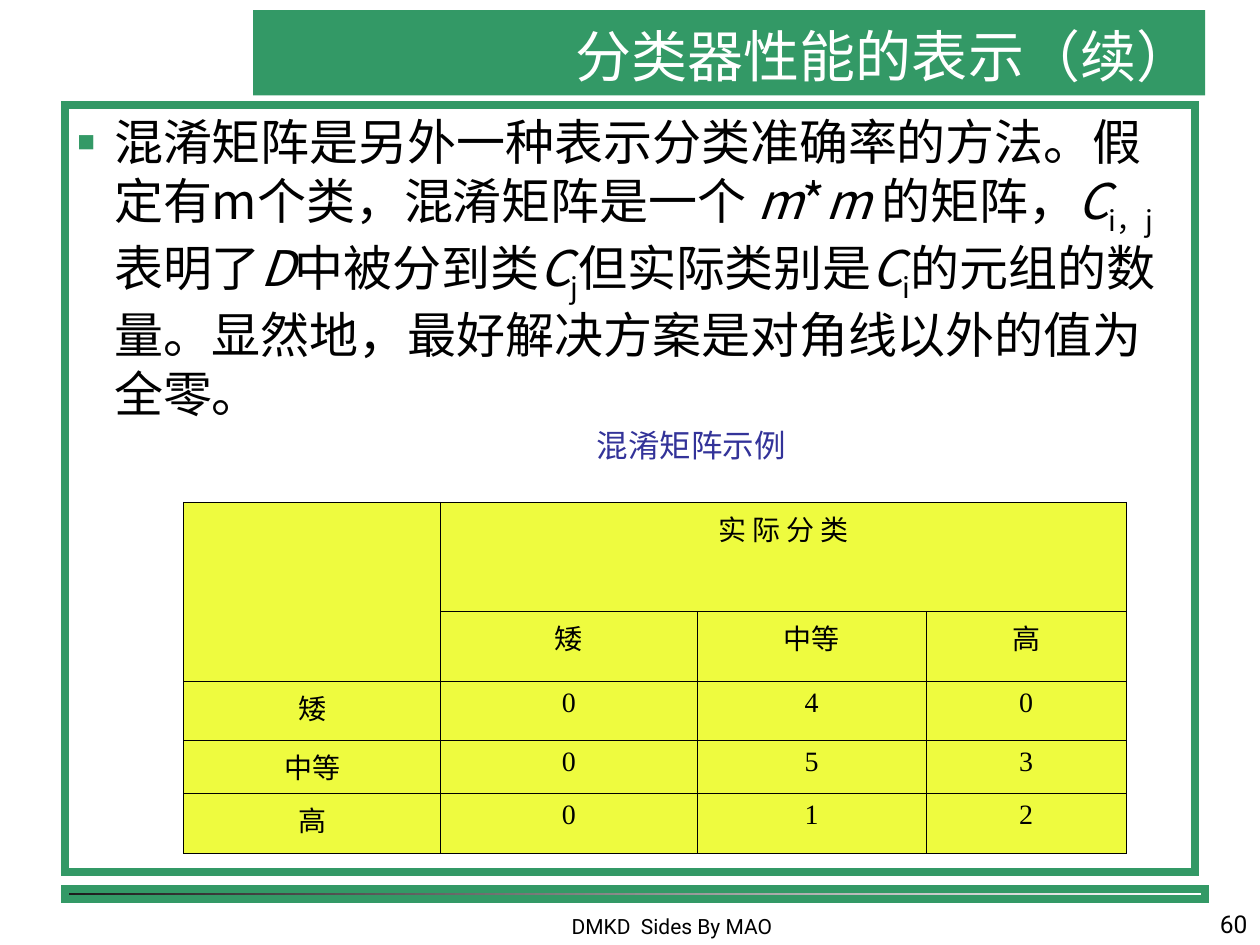
import pptx
import pptx.dml.color
import pptx.enum.dml
import pptx.enum.shapes
import pptx.enum.text
import pptx.oxml
import pptx.oxml.ns
import pptx.util

Pt = pptx.util.Pt
ALIGN = pptx.enum.text.PP_ALIGN
ANCHOR = pptx.enum.text.MSO_ANCHOR
COLORS = {"green": "339966", "black": "000000", "white": "FFFFFF", "dark": "1C1C1C",
          "navy": "333399", "yellow": "EEFB3F"}
NAMESPACE = 'xmlns:a="http://schemas.openxmlformats.org/drawingml/2006/main"'
SANS, BODY, SERIF, LATIN = "Noto Sans CJK SC", "Noto Sans CJK JP", "Times New Roman", "Roboto"

DEFINITION = [
    ("混淆矩阵是另外一种表示分类准确率的方法。假定有m个类，混淆矩阵是一个 ", ""),
    ("m", "italic"), ("*", ""), ("m ", "italic"), ("的矩阵，", ""),
    ("C", "italic"), ("i，j", "sub"), ("表明了", ""), ("D", "italic"),
    ("中被分到类", ""), ("C", "italic"), ("j", "sub"), ("但实际类别是", ""),
    ("C", "italic"), ("i", "sub"),
    ("的元组的数量。显然地，最好解决方案是对角线以外的值为全零。", ""),
]
MATRIX = [
    ["", "实 际 分 类", "", ""],
    ["", "矮", "中等", "高"],
    ["矮", "0", "4", "0"],
    ["中等", "0", "5", "3"],
    ["高", "0", "1", "2"],
]


def rgb(name):
    """Return the named colour."""
    return pptx.dml.color.RGBColor.from_string(COLORS[name])


def append_xml(parent, markup):
    """Append one drawing element, given as markup without namespace, to the parent."""
    tag, rest = markup[:markup.index(" ")], markup[markup.index(" "):]
    parent.append(pptx.oxml.parse_xml(f"<{tag} {NAMESPACE}{rest}"))


def set_format(target, values):
    """Set each attribute of the target from a dict."""
    for name, value in values.items():
        setattr(target, name, value)


def place(shape, box):
    """Move a shape to a left, top, width, height box in points."""
    set_format(shape, dict(zip(("left", "top", "width", "height"), map(Pt, box))))


def add_run(paragraph, text, size, font, color, style="", asian_font=None):
    """Add a run with its fonts, and italic or subscript style."""
    run = paragraph.add_run()
    run.text = text
    set_format(run.font, {"size": Pt(size), "name": font, "italic": style == "italic"})
    run.font.color.rgb = rgb(color)
    properties = run._r.get_or_add_rPr()
    append_xml(properties, f'a:ea typeface="{asian_font or font}"/>')
    if style == "sub":
        properties.set("baseline", "-25000")


def outline(shape):
    """Give a shape the thick green outline with square corners."""
    shape.line.color.rgb = rgb("green")
    shape.line.width = Pt(4.5)
    append_xml(shape.line._get_or_add_ln(), 'a:miter lim="800000"/>')


def fill_title(title, box):
    """Place the title bar and its right-aligned text."""
    place(title, box)
    title.fill.solid()
    title.fill.fore_color.rgb = rgb("green")
    set_format(title.text_frame, {"vertical_anchor": ANCHOR.BOTTOM, "word_wrap": True,
                                  "auto_size": pptx.enum.text.MSO_AUTO_SIZE.NONE})
    paragraph = title.text_frame.paragraphs[0]
    paragraph.alignment = ALIGN.RIGHT
    add_run(paragraph, "分类器性能的表示（续）", 32, SANS, "white")


def fill_body(body, box):
    """Place the framed body with the definition and the table caption."""
    place(body, box)
    outline(body)
    frame = body.text_frame
    set_format(frame, {"vertical_anchor": ANCHOR.TOP, "word_wrap": True,
                       "auto_size": pptx.enum.text.MSO_AUTO_SIZE.NONE})
    definition, caption = frame.paragraphs[0], frame.add_paragraph()
    set_format(definition, {"space_before": Pt(0), "line_spacing": 1.0})
    set_format(caption, {"level": 1, "alignment": ALIGN.CENTER,
                         "space_before": Pt(2.2), "line_spacing": 1.0})
    bullet = [f'a:buClr ><a:srgbClr val="{COLORS["green"]}"/></a:buClr>',
              'a:buSzPct val="60000"/>', 'a:buFont typeface="Arial"/>', 'a:buChar char="■"/>']
    for paragraph, margin, indent, marks in ((definition, 21, -21, bullet),
                                             (caption, 35, 35, ["a:buNone />"])):
        properties = paragraph._p.get_or_add_pPr()
        properties.set("marL", str(Pt(margin)))
        properties.set("indent", str(Pt(indent)))
        for mark in marks:
            append_xml(properties, mark)
    for text, style in DEFINITION:
        add_run(definition, text, 28, BODY, "black", style)
    add_run(caption, "混淆矩阵示例", 18, SANS, "navy")


def format_cell(cell, text):
    """Give a cell its thin borders, fill and centred text."""
    properties = cell._tc.get_or_add_tcPr()
    for side in ("lnL", "lnR", "lnT", "lnB"):
        append_xml(properties, f'a:{side} w="{Pt(0.45)}"><a:solidFill><a:srgbClr '
                               f'val="{COLORS["black"]}"/></a:solidFill></a:{side}>')
    cell.fill.solid()
    cell.fill.fore_color.rgb = rgb("yellow")
    paragraph = cell.text_frame.paragraphs[0]
    paragraph.alignment = ALIGN.CENTER
    if text:
        add_run(paragraph, text, 16, SERIF, "black", asian_font=SANS)


def add_matrix(slide, box):
    """Add the confusion matrix in the given box."""
    left, top, width, height = map(Pt, box)
    table = slide.shapes.add_table(len(MATRIX), len(MATRIX[0]), left, top, width, height).table
    set_format(table, {"first_row": False, "horz_banding": False})
    for column, size in zip(table.columns, (146.7, 146.7, 130.7, 114.5)):
        column.width = Pt(size)
    for row, size in zip(table.rows, (62.3, 40, 33.7, 30.3, 34.3)):
        row.height = Pt(size)
    for row, texts in zip(table.rows, MATRIX):
        for cell, text in zip(row.cells, texts):
            format_cell(cell, text)
    table.cell(0, 0).merge(table.cell(1, 0))
    table.cell(0, 1).merge(table.cell(0, 3))


def add_footer_bar(slide, box):
    """Add the outlined gradient bar under the body."""
    bar = slide.shapes.add_shape(pptx.enum.shapes.MSO_SHAPE.RECTANGLE, *map(Pt, box))
    bar.shadow.inherit = False
    bar.fill.gradient()
    bar.fill.gradient_angle = 0
    for stop, color, position in zip(bar.fill.gradient_stops, ("dark", "white"), (0, 1)):
        stop.color.rgb = rgb(color)
        stop.position = position
    outline(bar)


def add_footer_text(slide, box, text, size, alignment):
    """Add a bottom-anchored footer text."""
    frame = slide.shapes.add_textbox(*map(Pt, box)).text_frame
    set_format(frame, {"word_wrap": True, "vertical_anchor": ANCHOR.BOTTOM})
    frame.paragraphs[0].alignment = alignment
    add_run(frame.paragraphs[0], text, size, LATIN, "black")


def main():
    """Build and save the slide."""
    presentation = pptx.Presentation()
    set_format(presentation, {"slide_width": Pt(720), "slide_height": Pt(540)})
    slide = presentation.slides.add_slide(presentation.slide_layouts[1])
    add_footer_bar(slide, (37, 508, 651.7, 5.6))
    add_footer_text(slide, (270, 510, 228, 30), "DMKD  Sides By MAO", 12, ALIGN.CENTER)
    add_footer_text(slide, (570, 504, 150, 36), "60", 14, ALIGN.RIGHT)
    fill_title(slide.shapes.title, (144.7, 5.8, 544, 48.7))
    fill_body(slide.placeholders[1], (37, 60.2, 646, 438.3))
    add_matrix(slide, (105, 287, 538.6, 200.6))
    presentation.save("out.pptx")


if __name__ == "__main__":
    main()
